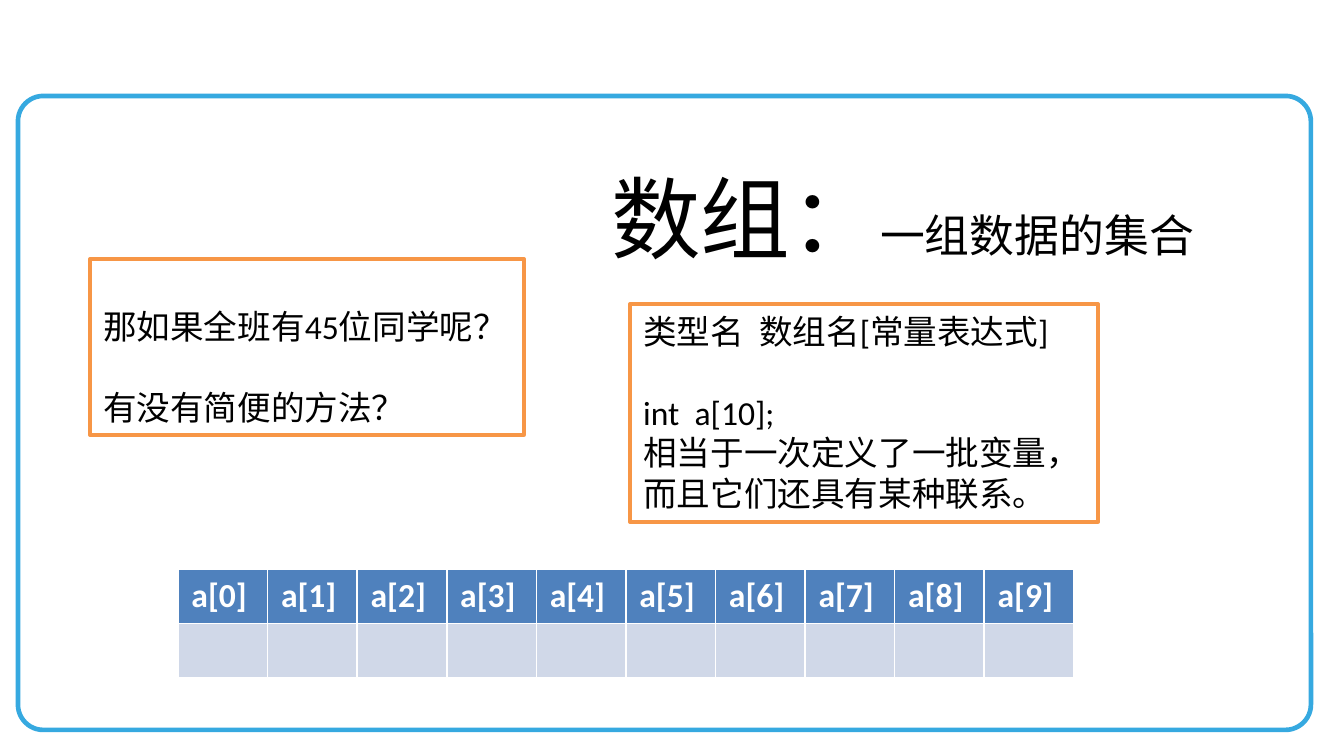
from pptx import Presentation
from pptx.dml.color import RGBColor
from pptx.enum.shapes import MSO_SHAPE
from pptx.enum.text import MSO_ANCHOR, MSO_AUTO_SIZE, PP_ALIGN
from pptx.util import Emu, Pt

RECTANGLE, ROUNDED = MSO_SHAPE.RECTANGLE, MSO_SHAPE.ROUNDED_RECTANGLE
TOP, LEFT, FIT_TEXT = MSO_ANCHOR.TOP, PP_ALIGN.LEFT, MSO_AUTO_SIZE.SHAPE_TO_FIT_TEXT

BLACK = RGBColor(0x00, 0x00, 0x00)
WHITE = RGBColor(0xFF, 0xFF, 0xFF)
ORANGE = RGBColor(0xF7, 0x96, 0x46)
SKY = RGBColor(0x36, 0xA9, 0xE0)
HEADER_BLUE = RGBColor(0x4F, 0x81, 0xBD)
CELL_BLUE = RGBColor(0xD0, 0xD8, 0xE8)
FONT = "Calibri"

# Content: boxes are in px, each line is (text, space before in pt)
SLIDE_SIZE = (1344, 756)
FRAME_BOX = (18, 96, 1293, 634)
TITLE_BOX = (598, 156, 616, 122)
TITLE_RUNS = [("数组：", 48), ("一组数据的集合", 24)]
NOTES = [
    {"box": (90, 259, 434, 176), "line_spacing": 2.0,
     "lines": [("那如果全班有45位同学呢？", 0), ("有没有简便的方法？", 0)]},
    {"box": (630, 304, 468, 218), "line_spacing": 1.0,
     "lines": [("类型名  数组名[常量表达式]", 0), ("int  a[10];", 22),
               ("相当于一次定义了一批变量，", 0), ("而且它们还具有某种联系。", 0)]},
]
ELEMENTS = [f"a[{index}]" for index in range(10)]
TABLE_BOX = (178, 569, 896, 109)


def px(length):
    return Emu(round(length * 9144000 / 1344))


def place(box):
    return [px(length) for length in box]


def style(font, size, color, bold=False):
    font.name, font.size, font.bold = FONT, Pt(size), bold
    font.color.rgb = color


def add_outline(slide, kind, box, color, width):
    outline = slide.shapes.add_shape(kind, *place(box))
    outline.shadow.inherit = False
    outline.line.color.rgb = color
    outline.line.width = Pt(width)
    return outline


def add_note(slide, note):
    panel = add_outline(slide, RECTANGLE, note["box"], ORANGE, 2)
    panel.fill.solid()
    panel.fill.fore_color.rgb = WHITE
    frame = panel.text_frame
    frame.word_wrap, frame.auto_size = False, FIT_TEXT
    frame.vertical_anchor = TOP
    for index, (line, space) in enumerate(note["lines"]):
        paragraph = frame.add_paragraph() if index else frame.paragraphs[0]
        paragraph.text = line
        paragraph.alignment = LEFT
        paragraph.line_spacing = note["line_spacing"]
        paragraph.space_before = Pt(space)
        style(paragraph.font, 18, BLACK)


def add_title(slide):
    title = slide.shapes.title
    title.left, title.top, title.width, title.height = place(TITLE_BOX)
    frame = title.text_frame
    frame.word_wrap, frame.auto_size = False, FIT_TEXT
    frame.vertical_anchor = TOP
    paragraph = frame.paragraphs[0]
    paragraph.alignment = LEFT
    for wording, size in TITLE_RUNS:
        run = paragraph.add_run()
        run.text = wording
        style(run.font, size, BLACK)


def add_array_table(slide):
    table = slide.shapes.add_table(2, len(ELEMENTS), *place(TABLE_BOX)).table
    for column, element in enumerate(ELEMENTS):
        table.cell(0, column).text = element
        for row, color in enumerate((HEADER_BLUE, CELL_BLUE)):
            cell = table.cell(row, column)
            cell.fill.solid()
            cell.fill.fore_color.rgb = color
            style(cell.text_frame.paragraphs[0].font, 18, WHITE, bold=True)


def main():
    deck = Presentation()
    deck.slide_width, deck.slide_height = place(SLIDE_SIZE)
    slide = deck.slides.add_slide(deck.slide_layouts[5])

    # Rounded frame around the content
    frame = add_outline(slide, ROUNDED, FRAME_BOX, SKY, 2.5)
    frame.fill.background()
    frame.adjustments[0] = 0.04

    # Heading, notes and array
    add_title(slide)
    for note in NOTES:
        add_note(slide, note)
    add_array_table(slide)
    deck.save("out.pptx")


if __name__ == "__main__":
    main()
